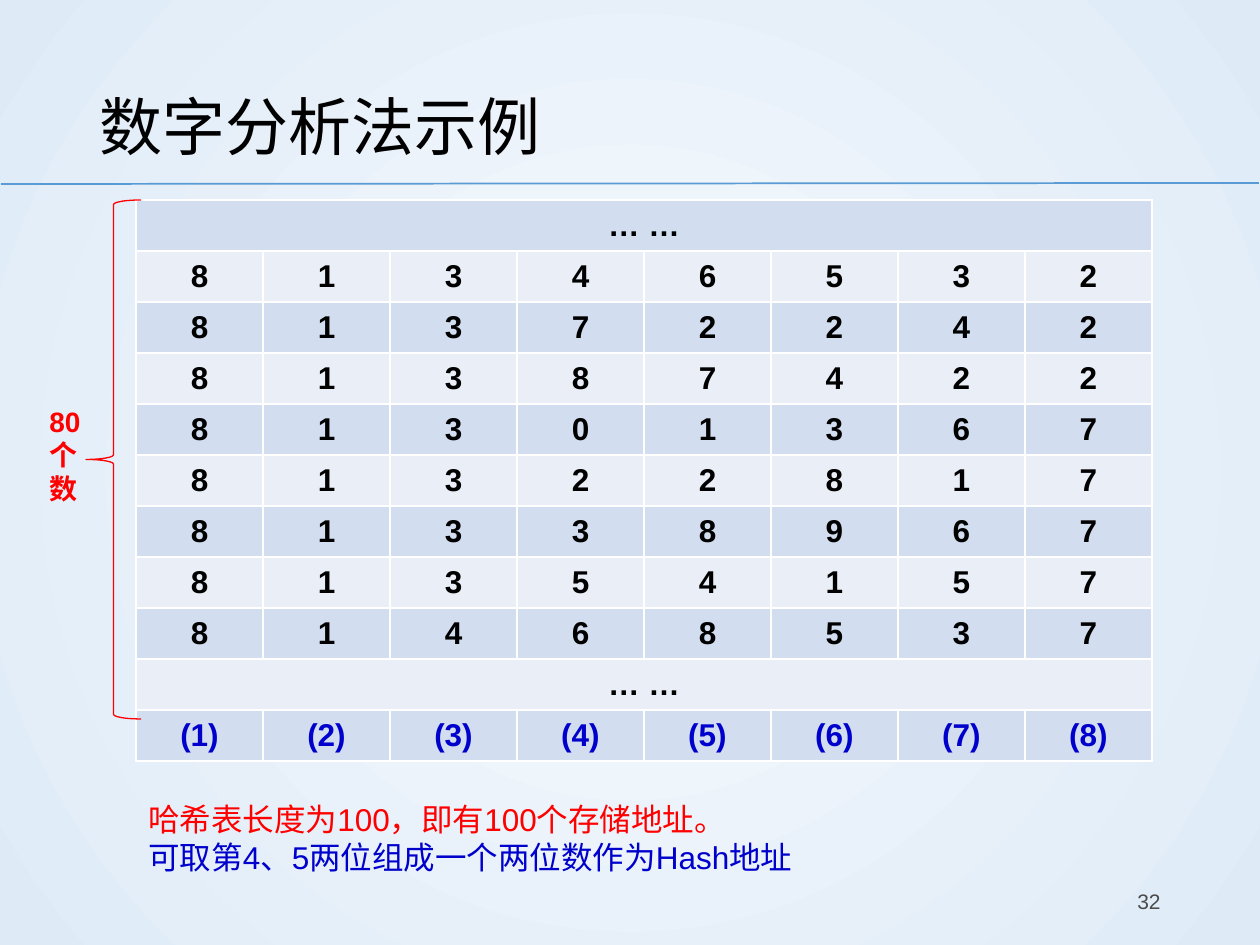
"""Build the digit analysis hashing example slide."""
from dataclasses import dataclass

from lxml import etree
from pptx import Presentation
from pptx.dml.color import RGBColor
from pptx.enum.shapes import MSO_CONNECTOR, MSO_SHAPE
from pptx.enum.text import MSO_ANCHOR, PP_ALIGN
from pptx.oxml.ns import qn
from pptx.util import Emu, Pt

STRAIGHT = MSO_CONNECTOR.STRAIGHT
LEFT_BRACE = MSO_SHAPE.LEFT_BRACE
TOP, MIDDLE = MSO_ANCHOR.TOP, MSO_ANCHOR.MIDDLE
LEFT, CENTER, RIGHT = PP_ALIGN.LEFT, PP_ALIGN.CENTER, PP_ALIGN.RIGHT

SCALE = 914400 // 126
FONT = "Arial"
BLACK, RED, BLUE, GREY = "000000", "FF0000", "0000CC", "4B4B4B"
WHITE, RULE_BLUE = "FFFFFF", "5B9BD5"
BANDS = ("D2DEEF", "EAEFF7")
COLUMN_WIDTH, ROW_HEIGHT = 127, 51
ELLIPSIS = "… …"
KEYS = ("81346532", "81372242", "81387422", "81301367",
        "81322817", "81338967", "81354157", "81468537")


@dataclass(frozen=True)
class Area:
    """Position and size in px."""
    left: int
    top: int
    width: int
    height: int

    def emu(self) -> tuple[Emu, ...]:
        """Return left, top, width and height in EMU."""
        return px(self.left), px(self.top), px(self.width), px(self.height)


@dataclass(frozen=True)
class Label:
    """A text box with one paragraph for each text and colour pair."""
    area: Area
    lines: tuple[tuple[str, str], ...]
    size: int
    bold: bool = False
    align: PP_ALIGN = LEFT
    anchor: MSO_ANCHOR = TOP
    spacing: float = 1.0


LABELS = (
    Label(Area(87, 50, 1086, 136), (("数字分析法示例", BLACK),), 36,
          anchor=MIDDLE, spacing=1.2),
    Label(Area(890, 876, 283, 50), (("32", GREY),), 12, align=RIGHT, anchor=MIDDLE),
    Label(Area(37, 398, 74, 115), (("80个数", RED),), 16, bold=True),
    Label(Area(136, 794, 1013, 89),
          (("哈希表长度为100，即有100个存储地址。", RED),
           ("可取第4、5两位组成一个两位数作为Hash地址", BLUE)), 18),
)


def px(length: int) -> Emu:
    """Turn px into EMU."""
    return Emu(length * SCALE)


def rgb(value: str) -> RGBColor:
    """Turn a hex string into a colour."""
    return RGBColor.from_string(value)


def write(para, text: str, *, size: int, color: str, bold: bool = False,
          align: PP_ALIGN = LEFT, spacing: float = 1.0) -> None:
    """Write formatted text into a paragraph."""
    para.alignment = align
    para.line_spacing = spacing
    span = para.add_run()
    span.text = text
    span.font.name = FONT
    span.font.size = Pt(size)
    span.font.bold = bold
    span.font.color.rgb = rgb(color)


def paint_background(page) -> None:
    """Fill the page with a gradient that spreads from its centre."""
    fill = page.background.fill
    fill.gradient()
    for stop, color, position in zip(fill.gradient_stops, ("F7FAFD", "DEEBF7"), (0, 1)):
        stop.color.rgb = rgb(color)
        stop.position = position
    linear = next(page.element.iter(qn("a:lin")))
    circle = etree.Element(qn("a:path"), {"path": "circle"})
    etree.SubElement(circle, qn("a:fillToRect"), dict.fromkeys("ltrb", "50000"))
    linear.getparent().replace(linear, circle)


def add_rule(page) -> None:
    """Draw the line below the title."""
    rule = page.shapes.add_connector(STRAIGHT, px(1), px(184), px(1259), px(183))
    rule.line.color.rgb = rgb(RULE_BLUE)
    rule.line.width = Pt(1)
    etree.SubElement(rule.element.spPr, qn("a:effectLst"))


def add_label(page, label: Label) -> None:
    """Add a wrapped text box."""
    frame = page.shapes.add_textbox(*label.area.emu()).text_frame
    frame.word_wrap = True
    frame.vertical_anchor = label.anchor
    for index, (text, color) in enumerate(label.lines):
        para = frame.add_paragraph() if index else frame.paragraphs[0]
        write(para, text, size=label.size, color=color, bold=label.bold,
              align=label.align, spacing=label.spacing)


def style_cell(cell, band: str) -> None:
    """Give a cell its borders and fill."""
    properties = cell._tc.get_or_add_tcPr()
    for side in ("lnL", "lnR", "lnT", "lnB"):
        border = etree.SubElement(properties, qn(f"a:{side}"), {"w": str(Pt(1))})
        solid = etree.SubElement(border, qn("a:solidFill"))
        etree.SubElement(solid, qn("a:srgbClr"), {"val": WHITE})
    cell.fill.solid()
    cell.fill.fore_color.rgb = rgb(band)
    cell.vertical_anchor = MIDDLE


def add_key_table(page) -> None:
    """Add the table of keys with numbered digit positions."""
    positions = [f"({number})" for number in range(1, 9)]
    rows = [[ELLIPSIS], *map(list, KEYS), [ELLIPSIS], positions]
    count = len(positions)
    area = Area(136, 200, count * COLUMN_WIDTH, len(rows) * ROW_HEIGHT)
    table = page.shapes.add_table(len(rows), count, *area.emu()).table
    table.first_row = table.horz_banding = False
    for column in table.columns:
        column.width = px(COLUMN_WIDTH)
    for row_index, texts in enumerate(rows):
        table.rows[row_index].height = px(ROW_HEIGHT)
        for column_index in range(count):
            style_cell(table.cell(row_index, column_index), BANDS[row_index % 2])
        if len(texts) == 1:
            table.cell(row_index, 0).merge(table.cell(row_index, count - 1))
        for column_index, text in enumerate(texts):
            para = table.cell(row_index, column_index).text_frame.paragraphs[0]
            write(para, text, size=18, color=BLUE if texts is positions else BLACK,
                  bold=True, align=CENTER)


def add_brace(page) -> None:
    """Draw the brace that spans the keys."""
    brace = page.shapes.add_shape(LEFT_BRACE, *Area(86, 200, 55, 519).emu())
    brace.shadow.inherit = False
    brace.fill.background()
    brace.line.color.rgb = rgb(RED)
    brace.line.width = Pt(0.75)


def main() -> None:
    """Build and save the deck."""
    deck = Presentation()
    deck.slide_width, deck.slide_height = px(1260), px(945)
    page = deck.slides.add_slide(deck.slide_layouts[6])
    paint_background(page)
    add_rule(page)
    add_key_table(page)
    add_brace(page)
    for label in LABELS:
        add_label(page, label)
    deck.save("out.pptx")


if __name__ == "__main__":
    main()
